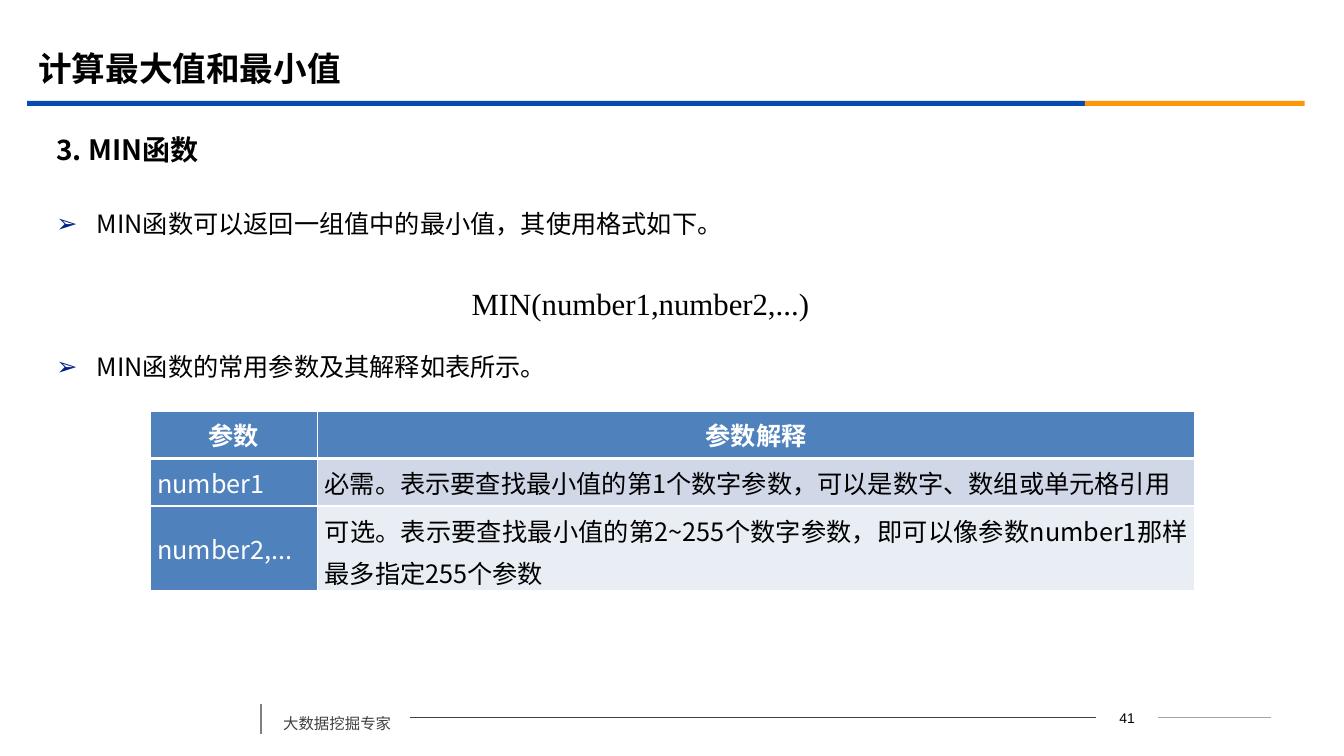
from lxml import etree
from pptx import Presentation
from pptx.dml.color import RGBColor
from pptx.enum.shapes import MSO_CONNECTOR, MSO_SHAPE
from pptx.enum.text import MSO_ANCHOR, MSO_AUTO_SIZE, PP_ALIGN
from pptx.oxml.ns import qn
from pptx.util import Inches, Pt

LEFT, CENTER, JUSTIFY = PP_ALIGN.LEFT, PP_ALIGN.CENTER, PP_ALIGN.JUSTIFY
TOP, MIDDLE = MSO_ANCHOR.TOP, MSO_ANCHOR.MIDDLE
FIXED_SIZE = MSO_AUTO_SIZE.NONE
STRAIGHT, RECTANGLE = MSO_CONNECTOR.STRAIGHT, MSO_SHAPE.RECTANGLE

BLACK = RGBColor(0x00, 0x00, 0x00)
WHITE = RGBColor(0xFF, 0xFF, 0xFF)
DARK_GRAY = RGBColor(0x40, 0x40, 0x40)
MID_GRAY = RGBColor(0x80, 0x80, 0x80)
LIGHT_GRAY = RGBColor(0xA6, 0xA6, 0xA6)
BLUE = RGBColor(0x06, 0x4B, 0xB2)
ORANGE = RGBColor(0xFB, 0x97, 0x08)
BULLET_BLUE = RGBColor(0x03, 0x20, 0x89)
TABLE_BLUE = RGBColor(0x4F, 0x81, 0xBD)
BAND_DARK = RGBColor(0xD0, 0xD8, 0xE8)
BAND_LIGHT = RGBColor(0xE9, 0xED, 0xF4)

CJK_FONT = "Noto Sans CJK SC"
SERIF_FONT = "Times New Roman"

COLUMN_WIDTHS = (1.66, 8.7)
ROW_HEIGHTS = (0.47, 0.47, 0.84)
TABLE_ROWS = (
    ("参数", "参数解释"),
    ("number1", "必需。表示要查找最小值的第1个数字参数，可以是数字、数组或单元格引用"),
    ("number2,...", "可选。表示要查找最小值的第2~255个数字参数，"
                    "即可以像参数number1那样最多指定255个参数"),
)


def set_bullet(para, char=None, indent=0.0):
    """Give the paragraph a hanging bullet, or no bullet when char is None."""
    props = para._p.get_or_add_pPr()
    props.set("marL", str(Inches(indent)))
    props.set("indent", str(-Inches(indent)))
    if char is None:
        etree.SubElement(props, qn("a:buNone"))
        return
    color = etree.SubElement(props, qn("a:buClr"))
    etree.SubElement(color, qn("a:srgbClr"), val=str(BULLET_BLUE))
    etree.SubElement(props, qn("a:buChar"), char=char)


def write(para, text, size=18, font=CJK_FONT, color=BLACK, bold=False,
          align=LEFT, line_spacing=None, space_before=0):
    para.alignment = align
    para.space_before = Pt(space_before)
    if line_spacing is not None:
        para.line_spacing = line_spacing
    span = para.add_run()
    span.text = text
    span.font.size = Pt(size)
    span.font.name = font
    span.font.bold = bold
    span.font.color.rgb = color
    etree.SubElement(span._r.get_or_add_rPr(), qn("a:ea"), typeface=CJK_FONT)


def place(placeholder, left, top, width, height, anchor):
    """Move a placeholder and return its text frame."""
    placeholder.left, placeholder.top = Inches(left), Inches(top)
    placeholder.width, placeholder.height = Inches(width), Inches(height)
    frame = placeholder.text_frame
    frame.auto_size = FIXED_SIZE
    frame.vertical_anchor = anchor
    return frame


def add_text(slide, text, left, top, width, height, indent=0.0, **style):
    box = slide.shapes.add_textbox(Inches(left), Inches(top),
                                   Inches(width), Inches(height))
    box.text_frame.word_wrap = True
    para = box.text_frame.paragraphs[0]
    para._p.get_or_add_pPr().set("marL", str(Inches(indent)))
    write(para, text, **style)


def add_bar(slide, left, width, color):
    bar = slide.shapes.add_shape(RECTANGLE, Inches(left), Inches(1),
                                 Inches(width), Inches(0.05))
    bar.shadow.inherit = False
    bar.fill.solid()
    bar.fill.fore_color.rgb = color
    bar.line.fill.background()


def add_line(slide, x1, y1, x2, y2, color, width=0.75):
    line = slide.shapes.add_connector(STRAIGHT, Inches(x1), Inches(y1),
                                      Inches(x2), Inches(y2))
    line.line.color.rgb = color
    line.line.width = Pt(width)
    etree.SubElement(line._element.spPr, qn("a:effectLst"))


def set_borders(cell, bottom=1):
    """Draw white cell borders, 1 pt except for the bottom one."""
    props = cell._tc.get_or_add_tcPr()
    for side, width in (("L", 1), ("R", 1), ("T", 1), ("B", bottom)):
        edge = etree.SubElement(props, qn(f"a:ln{side}"), w=str(Pt(width)))
        fill = etree.SubElement(edge, qn("a:solidFill"))
        etree.SubElement(fill, qn("a:srgbClr"), val=str(WHITE))


def add_parameter_table(slide):
    table = slide.shapes.add_table(
        len(ROW_HEIGHTS), len(COLUMN_WIDTHS), Inches(1.49), Inches(4.08),
        Inches(sum(COLUMN_WIDTHS)), Inches(sum(ROW_HEIGHTS))).table
    for column, width in zip(table.columns, COLUMN_WIDTHS):
        column.width = Inches(width)
    for row, height in zip(table.rows, ROW_HEIGHTS):
        row.height = Inches(height)
    for r, texts in enumerate(TABLE_ROWS):
        for c, text in enumerate(texts):
            cell = table.cell(r, c)
            header = r == 0
            blue = header or c == 0
            cell.margin_left = cell.margin_right = Inches(0.07)
            cell.margin_top = cell.margin_bottom = 0
            cell.vertical_anchor = MIDDLE
            set_borders(cell, bottom=3 if header else 1)
            cell.fill.solid()
            band = BAND_DARK if r == 1 else BAND_LIGHT
            cell.fill.fore_color.rgb = TABLE_BLUE if blue else band
            write(cell.text_frame.paragraphs[0], text, bold=header,
                  color=WHITE if blue else BLACK,
                  align=CENTER if header else JUSTIFY,
                  line_spacing=Pt(30) if (r, c) == (2, 1) else None)


def add_footer(slide):
    add_line(slide, 2.59, 6.98, 2.59, 7.28, MID_GRAY, width=1.25)
    add_text(slide, "大数据挖掘专家", 2.71, 6.94, 1.36, 0.38,
             size=11, color=DARK_GRAY, line_spacing=1.5)
    add_line(slide, 4.07, 7.12, 10.87, 7.12, DARK_GRAY)
    add_text(slide, "41", 10.87, 6.99, 0.62, 0.25,
             size=10, font="Arial", align=CENTER)
    add_line(slide, 11.49, 7.12, 12.61, 7.12, LIGHT_GRAY)


def main():
    deck = Presentation()
    deck.slide_width, deck.slide_height = Inches(13.33), Inches(7.5)
    slide = deck.slides.add_slide(deck.slide_layouts.get_by_name("Two Content"))
    title, heading, body = slide.placeholders

    add_bar(slide, 0.27, 10.49, BLUE)
    add_bar(slide, 10.76, 2.18, ORANGE)
    add_footer(slide)

    frame = place(title, 0.28, 0.39, 12, 0.58, MIDDLE)
    write(frame.paragraphs[0], "计算最大值和最小值", size=24,
          font=SERIF_FONT, bold=True)

    frame = place(heading, 0.46, 1.25, 12.15, 0.47, MIDDLE)
    set_bullet(frame.paragraphs[0])
    write(frame.paragraphs[0], "3. MIN函数", size=20, bold=True)

    frame = place(body, 0.46, 1.87, 12.15, 4.75, TOP)
    bullets = ((frame.paragraphs[0], "MIN函数可以返回一组值中的最小值，其使用格式如下。", 0),
               (frame.add_paragraph(), "MIN函数的常用参数及其解释如表所示。", 69.5))
    for para, text, space in bullets:
        set_bullet(para, "➢", indent=0.4)
        write(para, text, line_spacing=1.5, space_before=space)

    add_text(slide, "MIN(number1,number2,...)", 4.19, 2.78, 4.94, 0.47,
             indent=0.39, size=22, font=SERIF_FONT)
    add_parameter_table(slide)
    deck.save("out.pptx")


if __name__ == "__main__":
    main()
